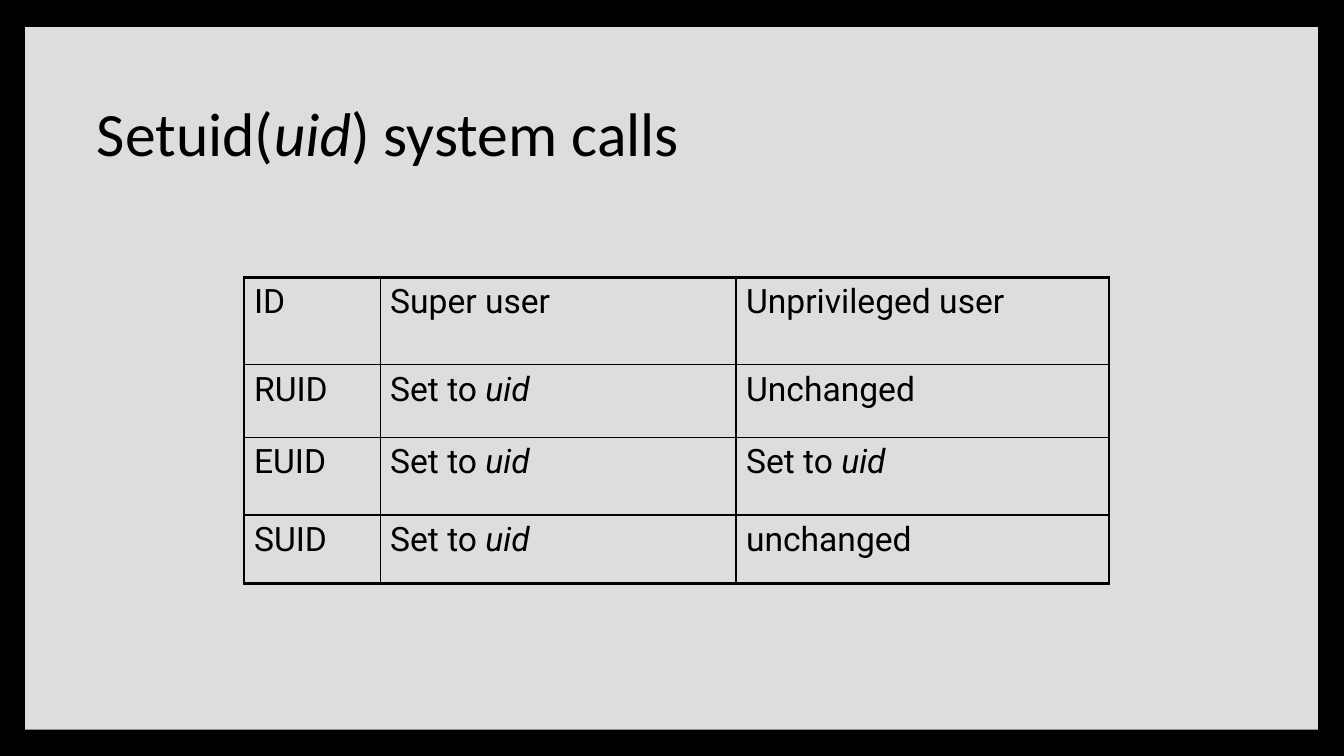
from dataclasses import dataclass

from lxml import etree
from pptx import Presentation
from pptx import util as u
from pptx.dml.color import RGBColor
from pptx.enum import shapes, text
from pptx.oxml import ns

PX = 9144  # EMU in one px, 100 px to the inch
COLORS = {"ink": "000000", "panel": "DDDDDD"}
THIN, THICK = 1, 2.25


@dataclass(frozen=True)
class Frame:
    left: int
    top: int
    width: int
    height: int

    def emu(self) -> tuple[int, int, int, int]:
        return self.left * PX, self.top * PX, self.width * PX, self.height * PX


@dataclass(frozen=True)
class TextStyle:
    font: str
    size: int


TITLE_STYLE = TextStyle("Calibri", 44)
CELL_STYLE = TextStyle("Roboto", 24)
PANEL = Frame(25, 27, 1282, 697)
TITLE = Frame(86, 85, 1133, 100)
COLUMNS = (135, 353, 370)
ROWS = (87, 72, 77, 68)
TABLE = Frame(242, 275, sum(COLUMNS), sum(ROWS))
CALLS = (
    ("ID", "Super user", "Unprivileged user"),
    ("RUID", "Set to *uid*", "Unchanged"),
    ("EUID", "Set to *uid*", "Set to *uid*"),
    ("SUID", "Set to *uid*", "unchanged"),
)


def color(name: str) -> RGBColor:
    return RGBColor.from_string(COLORS[name])


def write(para, marked: str, style: TextStyle) -> None:
    """Fill a paragraph; words between asterisks become italic."""
    for index, words in enumerate(marked.split("*")):
        if not words:
            continue
        span = para.add_run()
        span.text = words
        span.font.name = style.font
        span.font.size = u.Pt(style.size)
        span.font.italic = index % 2 == 1
        span.font.color.rgb = color("ink")


def set_borders(cell, widths: dict[str, float]) -> None:
    properties = cell._tc.get_or_add_tcPr()
    for index, (side, width) in enumerate(widths.items()):
        line = etree.Element(ns.qn(f"a:ln{side}"), w=str(int(u.Pt(width))))
        fill = etree.SubElement(line, ns.qn("a:solidFill"))
        etree.SubElement(fill, ns.qn("a:srgbClr"), val=COLORS["ink"])
        properties.insert(index, line)


def add_panel(page) -> None:
    panel = page.shapes.add_shape(shapes.MSO_SHAPE.RECTANGLE, *PANEL.emu())
    panel.shadow.inherit = False
    panel.fill.solid()
    panel.fill.fore_color.rgb = color("panel")
    panel.line.fill.background()
    # Keep the panel behind the title placeholder.
    page.shapes._spTree.insert(2, panel._element)


def add_title(page) -> None:
    title = page.shapes.title
    title.left, title.top, title.width, title.height = TITLE.emu()
    title.text_frame.vertical_anchor = text.MSO_ANCHOR.MIDDLE
    para = title.text_frame.paragraphs[0]
    para.alignment = text.PP_ALIGN.LEFT
    para.line_spacing = 0.9
    write(para, "Setuid(*uid*) system calls", TITLE_STYLE)


def add_calls_table(page) -> None:
    table = page.shapes.add_table(len(ROWS), len(COLUMNS), *TABLE.emu()).table
    table.first_row = table.horz_banding = False
    for column, width in zip(table.columns, COLUMNS):
        column.width = width * PX
    for row, height in zip(table.rows, ROWS):
        row.height = height * PX
    last_row, last_column = len(ROWS) - 1, len(COLUMNS) - 1
    for r, labels in enumerate(CALLS):
        for c, label in enumerate(labels):
            cell = table.cell(r, c)
            cell.fill.background()
            set_borders(cell, {
                "L": THICK if c == 0 else THIN,
                "R": THICK if c == last_column else THIN,
                "T": THICK if r == 0 else THIN,
                "B": THICK if r == last_row else THIN,
            })
            write(cell.text_frame.paragraphs[0], label, CELL_STYLE)


def main() -> None:
    deck = Presentation()
    deck.slide_width, deck.slide_height = 1333 * PX, 750 * PX
    page = deck.slides.add_slide(deck.slide_layouts.get_by_name("Title Only"))
    page.background.fill.solid()
    page.background.fill.fore_color.rgb = color("ink")
    add_panel(page)
    add_title(page)
    add_calls_table(page)
    deck.save("out.pptx")


if __name__ == "__main__":
    main()
